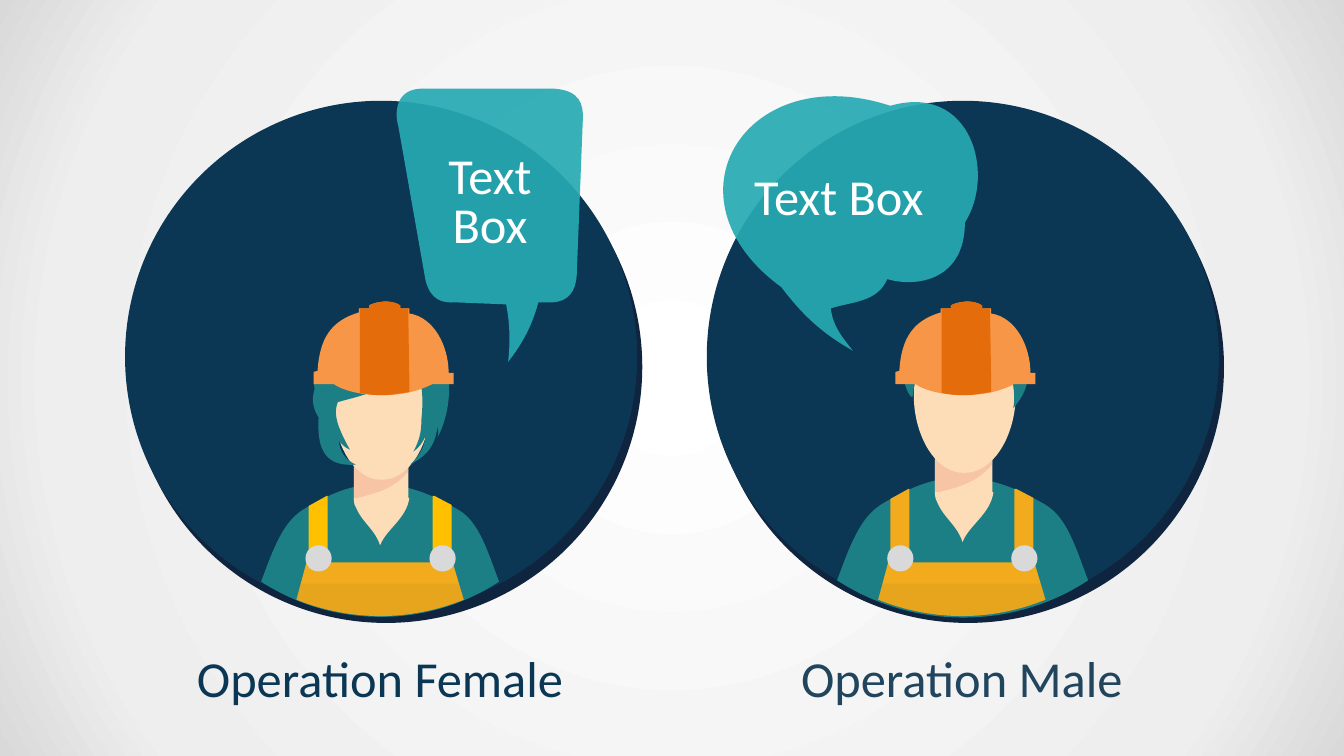
from dataclasses import dataclass

from pptx import Presentation
from pptx.dml.color import RGBColor
from pptx.enum.shapes import MSO_SHAPE
from pptx.enum.text import MSO_AUTO_SIZE, PP_ALIGN
from pptx.oxml import parse_xml
from pptx.oxml.ns import nsdecls, qn
from pptx.shapes.autoshape import Shape
from pptx.slide import Slide
from pptx.util import Inches, Pt

WHITE = RGBColor(0xFF, 0xFF, 0xFF)
PALE_GREY = RGBColor(0xEE, 0xEE, 0xEE)
GREY = RGBColor(0xD9, 0xD9, 0xD9)
DARK = RGBColor(0x26, 0x26, 0x26)
NAVY = RGBColor(0x0B, 0x37, 0x54)
SLATE = RGBColor(0x21, 0x45, 0x5D)
DEEP_NAVY = RGBColor(0x0F, 0x24, 0x3E)
GREEN = RGBColor(0x1D, 0x7F, 0x86)
TEAL = RGBColor(0x27, 0xAA, 0xB3)
SKIN = RGBColor(0xFD, 0xDD, 0xB8)
BLUSH = RGBColor(0xEC, 0x8D, 0x7D)
ORANGE = RGBColor(0xF7, 0x96, 0x46)
DARK_ORANGE = RGBColor(0xE4, 0x6C, 0x0A)
AMBER = RGBColor(0xF2, 0xAB, 0x1D)
YELLOW = RGBColor(0xFF, 0xC0, 0x00)

FONT = "Calibri"
WORKER_GAP = 5.77
CIRCLE_SIZE = 5.08
BUTTON_SIZE = 0.26

# An outline starts at its first point; 2 numbers draw a line, 6 a Bézier curve.
Outline = list[tuple[float, ...]]


@dataclass(frozen=True)
class Placement:
    dx: float = 0
    dy: float = 0
    scale: float = 1

    def point(self, x: float, y: float) -> tuple[int, int]:
        return Inches(x * self.scale + self.dx), Inches(y * self.scale + self.dy)


@dataclass(frozen=True)
class Part:
    outline: Outline
    color: RGBColor
    opacity: int = 100


@dataclass(frozen=True)
class Label:
    text: str
    box: tuple[float, float, float, float]
    color: RGBColor
    line_spacing: float | None = 35


@dataclass(frozen=True)
class Worker:
    body: Placement
    gear: Placement
    straps: Placement
    strap_color: RGBColor
    hair: Outline
    bubble: Outline
    bubble_label: Label
    caption: Label


BODY = [
    Part([(3, 5.06), (2.8, 5.19, 2.71, 5.45, 2.59, 5.77), (2.93, 5.99, 3.33, 6.12, 3.78, 6.12),
          (4.21, 6.12, 4.62, 5.99, 4.95, 5.77), (4.83, 5.45, 4.75, 5.18, 4.55, 5.06),
          (4.19, 4.85, 3.98, 4.81, 3.77, 4.81), (3.55, 4.8, 3.35, 4.85, 3, 5.06)], GREEN),
    Part([(3.51, 4.34), (4.05, 4.34), (4.05, 4.96),
          (4.05, 5.17, 3.51, 5.2, 3.51, 4.96)], SKIN),
    Part([(4.05, 4.68), (4.05, 4.58), (3.51, 4.58), (3.51, 4.95),
          (3.74, 4.89, 3.89, 4.86, 4.05, 4.68)], BLUSH, 30),
    Part([(4.06, 4.94), (4.03, 5.15, 3.83, 5.25, 3.77, 5.41),
          (3.71, 5.22, 3.53, 5.15, 3.51, 4.94)], SKIN),
    Part([(3.79, 3.45), (4.52, 3.45, 4.33, 4.75, 3.79, 4.76),
          (3.25, 4.77, 3.06, 3.45, 3.79, 3.45)], SKIN),
]
HELMET = [
    Part([(3.11, 3.81), (3.31, 3.81), (3.44, 3.91, 3.92, 4, 4.29, 3.81), (4.5, 3.81), (4.5, 3.7),
          (4.45, 3.7), (4.45, 3.44, 4.31, 3.15, 4.06, 3.11), (4.06, 3.06), (3.97, 3.06),
          (3.97, 3.03), (3.88, 2.97, 3.73, 2.99, 3.66, 3.03), (3.66, 3.06), (3.56, 3.06),
          (3.56, 3.1), (3.29, 3.18, 3.17, 3.35, 3.15, 3.68), (3.11, 3.69)], ORANGE),
    Part([(3.81, 2.99), (3.87, 2.99, 3.93, 3, 3.97, 3.03), (3.97, 3.06), (4.05, 3.06),
          (4.05, 3.34, 4.06, 3.61, 4.06, 3.89), (3.92, 3.91), (3.8, 3.93, 3.68, 3.92, 3.58, 3.9),
          (3.57, 3.9), (3.57, 3.06), (3.66, 3.06), (3.66, 3.03),
          (3.7, 3.01, 3.75, 3, 3.81, 2.99)], DARK_ORANGE),
]
BIB_HEM = (3.98, 6.2, 3.39, 6.13, 2.94, 5.95)
BIB = Part([(2.94, 5.95), (3.04, 5.58), (4.49, 5.58), (4.6, 5.95), BIB_HEM], AMBER)
BIB_SHADE = Part([(2.98, 5.79), (4.55, 5.79), (4.6, 5.95), BIB_HEM], DARK, 5)
STRAPS = [
    [(4.29, 4.92), (4.31, 4.92), (4.48, 5.01), (4.48, 5.64), (4.29, 5.64)],
    [(3.25, 4.92), (3.25, 5.64), (3.06, 5.64), (3.06, 5.02), (3.24, 4.92)],
]
BUTTONS = [(3.03, 5.41), (4.26, 5.41)]

FEMALE = Worker(
    Placement(), Placement(), Placement(), YELLOW,
    hair=[(3.97, 3.16), (3.76, 3.04, 3.28, 3.44, 3.25, 3.65), (3.11, 3.77, 3.11, 3.77, 3.12, 3.86),
          (3.09, 3.96, 3.1, 4.05, 3.16, 4.14), (3.14, 4.48, 3.24, 4.63, 3.53, 4.61),
          (3.4, 4.55, 3.37, 4.46, 3.36, 4.37), (3.39, 4.41, 3.42, 4.44, 3.47, 4.46),
          (3.42, 4.37, 3.38, 4.29, 3.35, 4.2), (3.33, 4.12, 3.32, 4.08, 3.35, 3.99),
          (3.58, 3.92, 3.87, 3.9, 4.07, 3.52), (4.11, 3.58, 4.12, 3.63, 4.14, 3.69),
          (4.19, 3.81, 4.2, 3.97, 4.18, 4.16), (4.18, 4.29, 4.16, 4.37, 4.1, 4.48),
          (4.16, 4.44, 4.19, 4.39, 4.22, 4.33), (4.21, 4.44, 4.16, 4.52, 4.07, 4.61),
          (4.18, 4.54, 4.31, 4.48, 4.34, 4.23), (4.35, 4.27, 4.35, 4.3, 4.34, 4.34),
          (4.62, 3.81, 4.35, 2.99, 3.97, 3.16)],
    bubble=[(5.02, 3.02), (4.52, 3), (4.39, 3.01, 4.27, 2.98, 4.22, 2.78), (3.95, 1.25),
            (3.91, 1.11, 3.93, 0.89, 4.17, 0.88), (5.5, 0.88),
            (5.75, 0.9, 5.79, 1.03, 5.78, 1.2), (5.72, 2.73),
            (5.71, 2.89, 5.64, 2.99, 5.48, 3), (5.34, 3),
            (5.28, 3.22, 5.19, 3.4, 5.04, 3.59), (5.06, 3.4, 5.06, 3.23, 5.02, 3.02)],
    bubble_label=Label("Text Box", (4.07, 1.49, 1.58, 1.03), WHITE),
    caption=Label("Operation Female", (1.82, 6.48, 3.9, 0.6), NAVY),
)
MALE = Worker(
    Placement(5.57, -0.33, 1.055), Placement(WORKER_GAP), Placement(WORKER_GAP, -0.07), AMBER,
    hair=[(9.05, 3.94), (9.09, 3.7, 9.05, 3.58, 9.38, 3.59), (9.54, 3.59, 9.7, 3.65, 9.85, 3.75),
          (9.86, 3.61, 9.93, 3.64, 10.01, 3.6), (10.03, 3.77, 10.08, 3.88, 10.05, 4.05),
          (10.21, 3.86, 10.24, 3.7, 10.1, 3.52), (10.05, 3.45, 10.04, 3.44, 9.89, 3.36),
          (9.7, 3.36, 9.16, 3.33, 9.02, 3.43), (8.88, 3.53, 8.98, 3.93, 9.05, 3.94)],
    bubble=[(8.46, 3.48), (8.34, 3.33, 8.26, 3.23, 8.24, 3.06), (8.46, 2.99, 8.7, 3, 8.8, 2.77),
            (9.12, 2.86, 9.57, 2.76, 9.57, 2.21), (9.88, 1.72, 9.63, 0.82, 8.83, 1.05),
            (7.41, 0.58, 6.53, 1.96, 7.75, 2.85), (7.97, 3.14, 8.16, 3.31, 8.46, 3.48)],
    bubble_label=Label("Text Box", (7.34, 1.59, 1.96, 0.71), WHITE, None),
    caption=Label("Operation Male", (7.59, 6.48, 3.9, 0.6), SLATE),
)


def paint(sp: Shape, color: RGBColor, opacity: int = 100) -> None:
    sp.shadow.inherit = False
    sp.line.fill.background()
    sp.fill.solid()
    sp.fill.fore_color.rgb = color
    if opacity < 100:
        clr = next(sp.element.spPr.iter(qn("a:srgbClr")))
        clr.append(parse_xml(f'<a:alpha {nsdecls("a")} val="{opacity * 1000}"/>'))


def bounds(segments: list[list[tuple[int, int]]]) -> tuple[int, int, int, int]:
    """Return left, top, right and bottom of the drawn outline, curves included."""
    points = [seg[-1] for seg in segments]
    for (*_, a), seg in zip(segments, segments[1:]):
        if len(seg) == 3:
            b, c, d = seg
            for t in (step / 20 for step in range(1, 20)):
                u = 1 - t
                points.append(tuple(round(u**3 * a[i] + 3 * u * u * t * b[i] + 3 * u * t * t * c[i]
                                          + t**3 * d[i]) for i in (0, 1)))
    xs, ys = zip(*points)
    return min(xs), min(ys), max(xs), max(ys)


def draw_part(shapes, part: Part, place: Placement = Placement()) -> None:
    """Size a freeform to the outline, then give it true Bézier segments."""
    segments = [[place.point(*seg[i:i + 2]) for i in range(0, len(seg), 2)]
                for seg in part.outline]
    left, top, right, bottom = bounds(segments)
    builder = shapes.build_freeform(left, top)
    builder.add_line_segments([(right, bottom)], close=False)
    sp = builder.convert_to_shape()
    outline = next(sp.element.iter(qn("a:path")))
    for child in list(outline):
        outline.remove(child)
    for n, seg in enumerate(segments):
        tag = "moveTo" if n == 0 else "lnTo" if len(seg) == 1 else "cubicBezTo"
        pts = "".join(f'<a:pt x="{x - left}" y="{y - top}"/>' for x, y in seg)
        outline.append(parse_xml(f'<a:{tag} {nsdecls("a")}>{pts}</a:{tag}>'))
    outline.append(parse_xml(f'<a:close {nsdecls("a")}/>'))
    paint(sp, part.color, part.opacity)


def draw_disc(shapes, x: float, y: float, size: float, color: RGBColor) -> None:
    sp = shapes.add_shape(MSO_SHAPE.OVAL, Inches(x), Inches(y), Inches(size), Inches(size))
    paint(sp, color)


def draw_label(slide: Slide, label: Label) -> None:
    tf = slide.shapes.add_textbox(*map(Inches, label.box)).text_frame
    tf.word_wrap = True
    tf.auto_size = MSO_AUTO_SIZE.SHAPE_TO_FIT_TEXT
    p = tf.paragraphs[0]
    p.text = label.text
    p.alignment = PP_ALIGN.CENTER
    if label.line_spacing:
        p.line_spacing = Pt(label.line_spacing)
    p.font.name, p.font.size, p.font.color.rgb = FONT, Pt(36), label.color


def draw_worker(slide: Slide, worker: Worker) -> None:
    gear = worker.gear
    draw_disc(slide.shapes, 1.29 + gear.dx, 1.1, CIRCLE_SIZE, DEEP_NAVY)
    draw_disc(slide.shapes, 1.24 + gear.dx, 1, CIRCLE_SIZE, NAVY)
    shapes = slide.shapes.add_group_shape().shapes
    for part in BODY:
        draw_part(shapes, part, worker.body)
    draw_part(shapes, Part(worker.hair, GREEN))
    for part in (*HELMET, BIB):
        draw_part(shapes, part, gear)
    for strap in STRAPS:
        draw_part(shapes, Part(strap, worker.strap_color), worker.straps)
    for x, y in BUTTONS:
        draw_disc(shapes, x + gear.dx, y, BUTTON_SIZE, GREY)
    draw_part(shapes, BIB_SHADE, gear)
    draw_part(slide.shapes, Part(worker.bubble, TEAL, 92))
    draw_label(slide, worker.bubble_label)
    draw_label(slide, worker.caption)


def set_radial_background(slide: Slide) -> None:
    slide.background.fill.gradient()
    grad = next(slide.element.iter(qn("a:gradFill")))
    stops = "".join(f'<a:gs pos="{pos * 1000}"><a:srgbClr val="{color}"/></a:gs>'
                    for pos, color in ((0, WHITE), (81, PALE_GREY), (100, GREY)))
    grad.getparent().replace(grad, parse_xml(
        f'<a:gradFill {nsdecls("a")} rotWithShape="1"><a:gsLst>{stops}</a:gsLst>'
        '<a:path path="circle"><a:fillToRect l="50000" t="50000" r="50000" b="50000"/>'
        '</a:path></a:gradFill>'))


prs = Presentation()
prs.slide_width, prs.slide_height = Inches(13.33), Inches(7.5)
main_slide = prs.slides.add_slide(prs.slide_layouts[6])
set_radial_background(main_slide)
for w in (MALE, FEMALE):
    draw_worker(main_slide, w)
prs.save("out.pptx")
